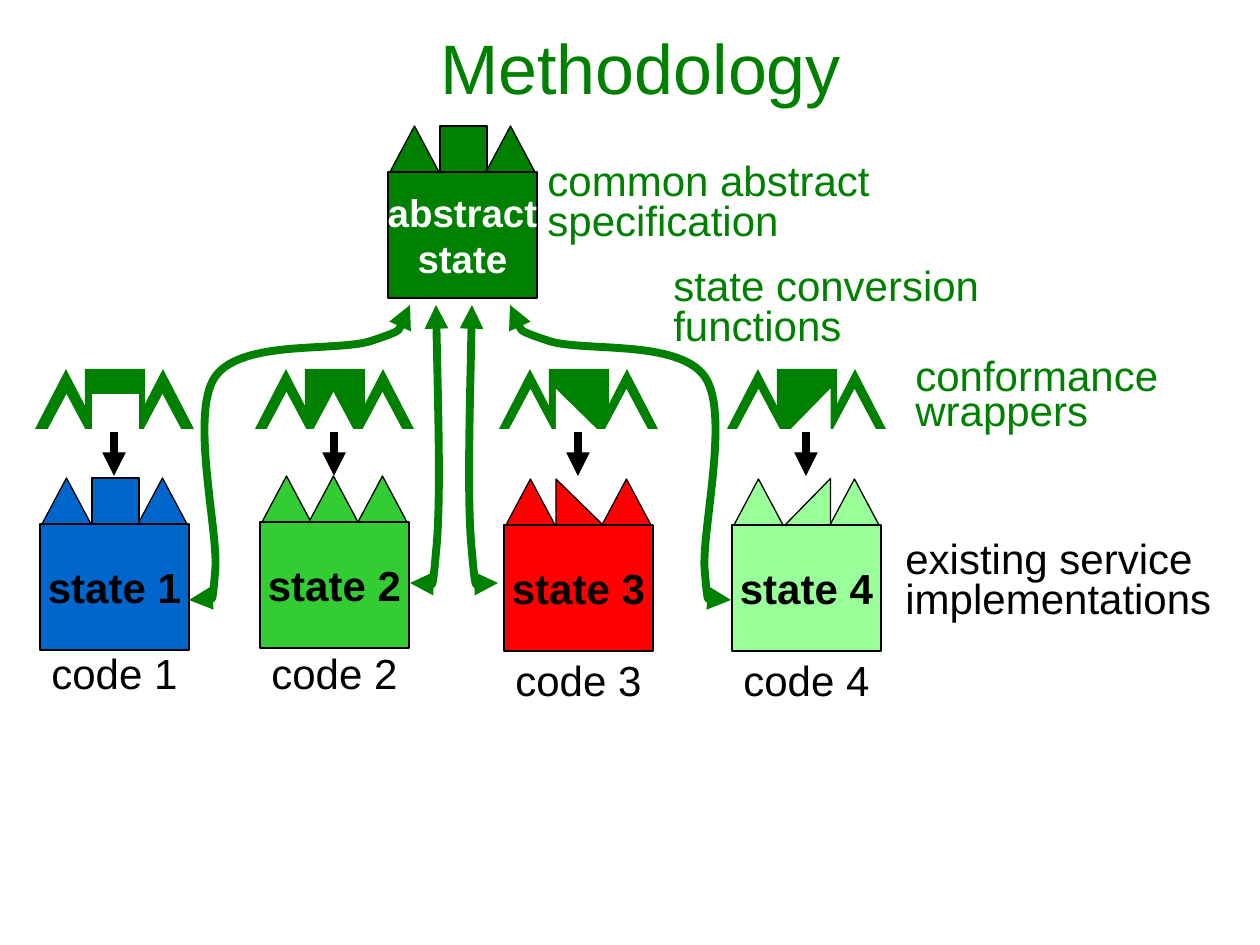
from pptx import Presentation
from pptx.dml.color import RGBColor
from pptx.enum.shapes import MSO_CONNECTOR, MSO_SHAPE
from pptx.enum.text import MSO_ANCHOR, MSO_AUTO_SIZE, PP_ALIGN
from pptx.oxml.ns import qn
from pptx.util import Pt
from lxml.etree import SubElement

SCALE = 914400 / 126  # EMU per px
GREEN, BLACK, WHITE = "008000", "000000", "FFFFFF"
TRIANGLE, RIGHT_TRIANGLE, RECT = (
    MSO_SHAPE.ISOSCELES_TRIANGLE, MSO_SHAPE.RIGHT_TRIANGLE, MSO_SHAPE.RECTANGLE)

# Middle spike of a tower: offset from the block, width, preset, rotation
SQUARE = (52, 47, RECT, 0)
PEAK = (49, 49, TRIANGLE, 0)
SLOPE_DOWN = (52, 47, RIGHT_TRIANGLE, 0)
SLOPE_UP = (52, 47, RIGHT_TRIANGLE, 270)

# Block left, spike top, wrapper cutout top, code top, colour, middle spike
SERVICES = [
    (40, 478, 394, 641, "0066CC", SQUARE),
    (260, 476, 392, 641, "33CC33", PEAK),
    (504, 479, 389, 648, "FF0000", SLOPE_DOWN),
    (732, 479, 389, 648, "99FF99", SLOPE_UP),
]
# Lines, box, colour, line spacing
LABELS = [
    (["existing service", "implementations"], (893, 536, 334, 93), BLACK, 0.8),
    (["conformance", "wrappers"], (903, 357, 280, 83), GREEN, 0.7),
    (["state conversion", "functions"], (661, 263, 343, 93), GREEN, 0.8),
    (["common abstract", "specification"], (535, 158, 359, 93), GREEN, 0.8),
]
# Bezier points of the left-hand conversions, and the sum of x that mirrors them
CONVERSIONS = [
    ([(189, 600), (200, 606), (212, 611), (215, 573), (220, 536), (189, 415),
      (215, 377), (242, 338), (341, 353), (374, 340), (407, 329), (408, 316),
      (410, 305)], 920),
    ([(410, 583), (421, 591), (432, 599), (436, 552), (441, 505), (438, 404),
      (436, 305)], 908),
]

prs = Presentation()
prs.slide_width, prs.slide_height = round(1260 * SCALE), round(945 * SCALE)
slide = prs.slides.add_slide(prs.slide_layouts[5])
shapes = slide.shapes


def px(*lengths):
    return [round(length * SCALE) for length in lengths]


def rgb(colour):
    return RGBColor.from_string(colour)


def write(frame, lines, size, colour, bold=False, align=PP_ALIGN.LEFT, spacing=None):
    for i, line in enumerate(lines):
        paragraph = frame.paragraphs[0] if i == 0 else frame.add_paragraph()
        paragraph.alignment = align
        paragraph.line_spacing = spacing
        run = paragraph.add_run()
        run.text = line
        run.font.name, run.font.size, run.font.bold = "Arial", Pt(size), bold
        run.font.color.rgb = rgb(colour)


def add_label(lines, box, colour, spacing=None):
    frame = shapes.add_textbox(*px(*box)).text_frame
    frame.word_wrap = False
    frame.auto_size = MSO_AUTO_SIZE.SHAPE_TO_FIT_TEXT
    write(frame, lines, 24, colour, spacing=spacing)


def add_part(preset, box, fill, outlined=False, rotation=0):
    part = shapes.add_shape(preset, *px(*box))
    part.shadow.inherit = False
    part.rotation = rotation
    part.fill.solid()
    part.fill.fore_color.rgb = rgb(fill)
    if outlined:
        part.line.color.rgb = rgb(BLACK)
        part.line.width = Pt(0.75)
    else:
        part.line.fill.background()
    return part


def add_spikes(left, top, middle, fill, outlined):
    for offset, width, preset, rotation in [(2, 49, TRIANGLE, 0), (98, 49, TRIANGLE, 0), middle]:
        add_part(preset, (left + offset, top, width, 46), fill, outlined, rotation)


def add_tower(left, top, middle, fill, lines, size, colour):
    add_spikes(left, top, middle, fill, True)
    block = add_part(RECT, (left, top + 46, 149, 126), fill, True)
    frame = block.text_frame
    frame.word_wrap = False
    frame.vertical_anchor = MSO_ANCHOR.MIDDLE
    write(frame, lines, size, colour, True, PP_ALIGN.CENTER)


def style_arrow(arrow, colour, *ends):
    arrow.line.color.rgb = rgb(colour)
    arrow.line.width = Pt(4.5)
    properties = arrow._element.spPr
    for end in ends:
        SubElement(properties.find(qn("a:ln")), qn(end), type="triangle")
    if properties.find(qn("a:effectLst")) is None:
        SubElement(properties, qn("a:effectLst"))


def add_curve(points):
    builder = shapes.build_freeform(*points[0], scale=SCALE)
    builder.add_line_segments(points[1:], close=False)
    curve = builder.convert_to_shape()
    curve.shadow.inherit = False
    curve.fill.background()
    # Each three segments become the points of one cubic curve
    segments = list(curve._element.iter(qn("a:lnTo")))
    for i in range(0, len(segments), 3):
        cubic = SubElement(segments[i].getparent(), qn("a:cubicBezTo"))
        for segment in segments[i:i + 3]:
            cubic.append(segment[0])
            segment.getparent().remove(segment)
    style_arrow(curve, GREEN, "a:headEnd", "a:tailEnd")


# Title
title = shapes.title
title.left, title.top, title.width, title.height = px(105, -3, 1071, 139)
title.text_frame.vertical_anchor = MSO_ANCHOR.MIDDLE
write(title.text_frame, ["Methodology"], 40, GREEN, align=PP_ALIGN.CENTER)

# Services with their code
for number, (left, top, _, code_top, colour, middle) in enumerate(SERVICES, 1):
    add_tower(left, top, middle, colour, [f"state {number}"], 24, BLACK)
    add_label([f"code {number}"], (left - 1, code_top, 151, 63), BLACK)

# Wrappers, cut out to fit the service below
for left, _, cutout_top, _, _, middle in SERVICES:
    for preset, offset, width, height in [
            (TRIANGLE, 92, 62, 60), (RECT, 45, 60, 60), (TRIANGLE, -5, 62, 60)]:
        add_part(preset, (left + offset, 369, width, height), GREEN)
    add_spikes(left, cutout_top, middle, WHITE, False)
    arrow = shapes.add_connector(
        MSO_CONNECTOR.STRAIGHT, *px(left + 74, 432, left + 74, 476))
    style_arrow(arrow, BLACK, "a:tailEnd")

# State conversions, left and mirrored
for points, mirror in CONVERSIONS:
    add_curve(points)
    add_curve([(mirror - x, y) for x, y in points])

# Labels and abstract specification
for label in LABELS:
    add_label(*label)
add_tower(388, 126, SQUARE, GREEN, ["abstract", "state"], 22, WHITE)

prs.save("out.pptx")
